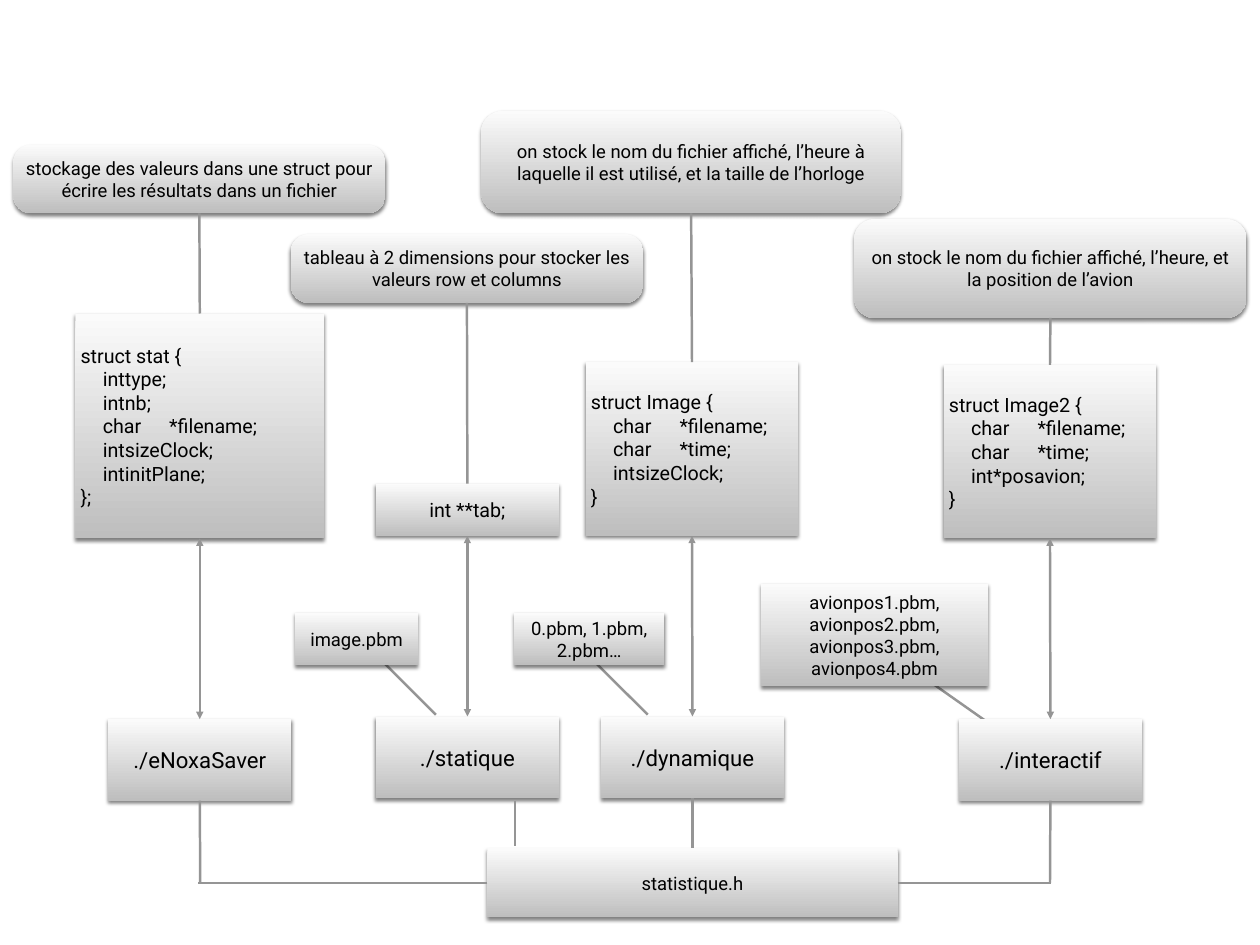
"""Draw the diagram of the programs, their data structures and their shared header."""
import dataclasses
import typing

import lxml.etree
import pptx
import pptx.dml.color
import pptx.enum.shapes
import pptx.enum.text
import pptx.oxml.ns
import pptx.shapes.autoshape
import pptx.shapes.connector
import pptx.slide
import pptx.util

Inches = pptx.util.Inches
Pt = pptx.util.Pt
qn = pptx.oxml.ns.qn
RGB = pptx.dml.color.RGBColor.from_string
MSO_SHAPE = pptx.enum.shapes.MSO_SHAPE
PP_ALIGN = pptx.enum.text.PP_ALIGN
TOP, LEFT, BOTTOM, RIGHT = range(4)


@dataclasses.dataclass(frozen=True)
class Theme:
    font: str = "Roboto"
    text: str = "000000"
    light: str = "FBFBFB"
    dark: str = "BEBEBE"
    line: str = "959595"
    shadow: str = "000000"
    line_width: float = 2
    note_size: float = 15
    code_size: float = 16
    program_size: float = 18
    inset: float = 0.06
    indent: float = 0.25


THEME = Theme()


@dataclasses.dataclass(frozen=True)
class Box:
    name: str
    left: float
    top: float
    width: float
    height: float
    lines: tuple[str, ...]
    size: float = THEME.note_size
    radius: float = 0
    tab: float = 0


@dataclasses.dataclass(frozen=True)
class Link:
    start: str
    start_side: int
    end: str
    end_side: int
    arrows: bool = False


@dataclasses.dataclass(frozen=True)
class Stroke:
    x1: float
    y1: float
    x2: float
    y2: float
    start: str = ""
    start_side: int = BOTTOM


def program(name: str, left: float, top: float) -> Box:
    return Box(name, left, top, 2.07, 0.92, (f"./{name}",), THEME.program_size)


BOXES = (
    Box("saver note", 0.15, 1.63, 4.2, 0.78,
        ("stockage des valeurs dans une struct pour écrire les résultats dans un fichier",),
        radius=0.267),
    Box("statique note", 3.28, 2.64, 3.98, 0.78,
        ("tableau à 2 dimensions pour stocker les valeurs row et columns",), radius=0.267),
    Box("dynamique note", 5.43, 1.25, 4.74, 1.16,
        ("on stock le nom du fichier affiché, l’heure à laquelle il est utilisé, "
         "et la taille de l’horloge",), radius=0.214),
    Box("interactif note", 9.64, 2.47, 4.43, 1.12,
        ("on stock le nom du fichier affiché, l’heure, et la position de l’avion",),
        radius=0.206),
    Box("stat", 0.85, 3.54, 2.81, 2.54,
        ("struct stat {", "int\ttype;", "int\tnb;", "char\t*filename;",
         "int\tsizeClock;", "int\tinitPlane;", "};"), THEME.code_size, tab=1.22),
    Box("tab", 4.24, 5.46, 2.07, 0.59, ("int **tab;",), THEME.code_size),
    Box("Image", 6.61, 4.09, 2.4, 1.96,
        ("struct Image {", "char\t*filename;", "char\t*time;", "int\tsizeClock;", "}"),
        THEME.code_size, tab=1.13),
    Box("Image2", 10.65, 4.12, 2.4, 1.96,
        ("struct Image2 {", "char\t*filename;", "char\t*time;", "int\t*posavion;", "}"),
        THEME.code_size, tab=1.12),
    program("eNoxaSaver", 1.22, 8.12),
    program("statique", 4.24, 8.09),
    program("dynamique", 6.78, 8.09),
    program("interactif", 10.82, 8.12),
    Box("header", 5.5, 9.58, 4.63, 0.78, ("statistique.h",)),
    Box("statique files", 3.33, 6.92, 1.39, 0.59, ("image.pbm",)),
    Box("dynamique files", 5.8, 6.92, 1.7, 0.59, ("0.pbm, 1.pbm, 2.pbm…",)),
    Box("interactif files", 8.59, 6.59, 2.56, 1.16,
        ("avionpos1.pbm, avionpos2.pbm,", "avionpos3.pbm,", "avionpos4.pbm")),
)

COLUMNS = (
    ("saver note", "stat", "eNoxaSaver"),
    ("statique note", "tab", "statique"),
    ("dynamique note", "Image", "dynamique"),
    ("interactif note", "Image2", "interactif"),
)
LINKS = (
    *(Link(note, BOTTOM, data, TOP) for note, data, _ in COLUMNS),
    *(Link(prog, TOP, data, BOTTOM, arrows=True) for _, data, prog in COLUMNS),
    Link("dynamique", BOTTOM, "header", TOP),
)
FILE_STROKES = (
    Stroke(4.92, 8.07, 4.02, 7.17),
    Stroke(7.31, 8.07, 6.41, 7.17),
    Stroke(11.11, 8.13, 10.03, 7.37),
)
HEADER_STROKES = (
    Stroke(5.81, 9.04, 5.81, 9.55),
    Stroke(2.26, 9.04, 2.26, 9.97, "eNoxaSaver"),
    Stroke(11.85, 9.04, 11.85, 9.97, "interactif"),
    Stroke(5.5, 9.97, 2.24, 9.97, "header", LEFT),
    Stroke(10.13, 9.97, 11.86, 9.97, "header", RIGHT),
)

Shapes = dict[str, pptx.shapes.autoshape.Shape]


def add_effect_list(sp: typing.Any) -> typing.Any:
    return lxml.etree.SubElement(sp._element.spPr, qn("a:effectLst"))


def add_shadow(sp: pptx.shapes.autoshape.Shape) -> None:
    sp.shadow.inherit = False
    effects = sp._element.spPr.find(qn("a:effectLst"))
    outer = lxml.etree.SubElement(effects, qn("a:outerShdw"), blurRad=str(Pt(3)),
                                  dist=str(Pt(2)), dir="5400000", rotWithShape="0")
    color = lxml.etree.SubElement(outer, qn("a:srgbClr"), val=THEME.shadow)
    lxml.etree.SubElement(color, qn("a:alpha"), val="50000")


def add_text(sp: pptx.shapes.autoshape.Shape, box: Box) -> None:
    tf = sp.text_frame
    tf.word_wrap = True
    tf.vertical_anchor = pptx.enum.text.MSO_ANCHOR.MIDDLE
    tf.margin_left = tf.margin_right = tf.margin_top = tf.margin_bottom = Inches(THEME.inset)
    for i, line in enumerate(box.lines):
        p = tf.add_paragraph() if i else tf.paragraphs[0]
        p.alignment = PP_ALIGN.LEFT if box.tab else PP_ALIGN.CENTER
        if "\t" in line:
            p.level = 1
            pPr = p._p.get_or_add_pPr()
            pPr.set("marL", "0")
            pPr.set("indent", str(Inches(THEME.indent)))
            tabs = lxml.etree.SubElement(pPr, qn("a:tabLst"))
            lxml.etree.SubElement(tabs, qn("a:tab"), pos=str(Inches(box.tab)), algn="l")
        r = p.add_run()
        r.text = line
        r.font.name = THEME.font
        r.font.size = Pt(box.size)
        r.font.color.rgb = RGB(THEME.text)


def add_box(slide: pptx.slide.Slide, box: Box) -> pptx.shapes.autoshape.Shape:
    kind = MSO_SHAPE.ROUNDED_RECTANGLE if box.radius else MSO_SHAPE.RECTANGLE
    sp = slide.shapes.add_shape(kind, Inches(box.left), Inches(box.top),
                                Inches(box.width), Inches(box.height))
    if box.radius:
        sp.adjustments[0] = box.radius
    sp.fill.gradient()
    sp.fill.gradient_angle = 270
    for stop, position, color in zip(sp.fill.gradient_stops, (0, 1), (THEME.light, THEME.dark)):
        stop.position = position
        stop.color.rgb = RGB(color)
    sp.line.fill.background()
    add_shadow(sp)
    add_text(sp, box)
    return sp


def add_stroke(slide: pptx.slide.Slide, stroke: Stroke,
               shapes: Shapes) -> pptx.shapes.connector.Connector:
    sp = slide.shapes.add_connector(
        pptx.enum.shapes.MSO_CONNECTOR.STRAIGHT,
        Inches(stroke.x1), Inches(stroke.y1), Inches(stroke.x2), Inches(stroke.y2))
    sp.line.color.rgb = RGB(THEME.line)
    sp.line.width = Pt(THEME.line_width)
    add_effect_list(sp)
    if stroke.start:
        sp.begin_connect(shapes[stroke.start], stroke.start_side)
    return sp


def add_link(slide: pptx.slide.Slide, link: Link, shapes: Shapes) -> None:
    sp = add_stroke(slide, Stroke(0, 0, 0, 0, link.start, link.start_side), shapes)
    sp.end_connect(shapes[link.end], link.end_side)
    if link.arrows:
        for tag in ("a:headEnd", "a:tailEnd"):
            lxml.etree.SubElement(sp.line._get_or_add_ln(), qn(tag), type="triangle")


def main() -> None:
    prs = pptx.Presentation()
    prs.slide_width, prs.slide_height = Inches(14.22), Inches(10.67)
    slide = prs.slides.add_slide(prs.slide_layouts[6])
    for stroke in FILE_STROKES:
        add_stroke(slide, stroke, {})
    shapes = {box.name: add_box(slide, box) for box in BOXES}
    for link in LINKS:
        add_link(slide, link, shapes)
    for stroke in HEADER_STROKES:
        add_stroke(slide, stroke, shapes)
    prs.save("out.pptx")


if __name__ == "__main__":
    main()
